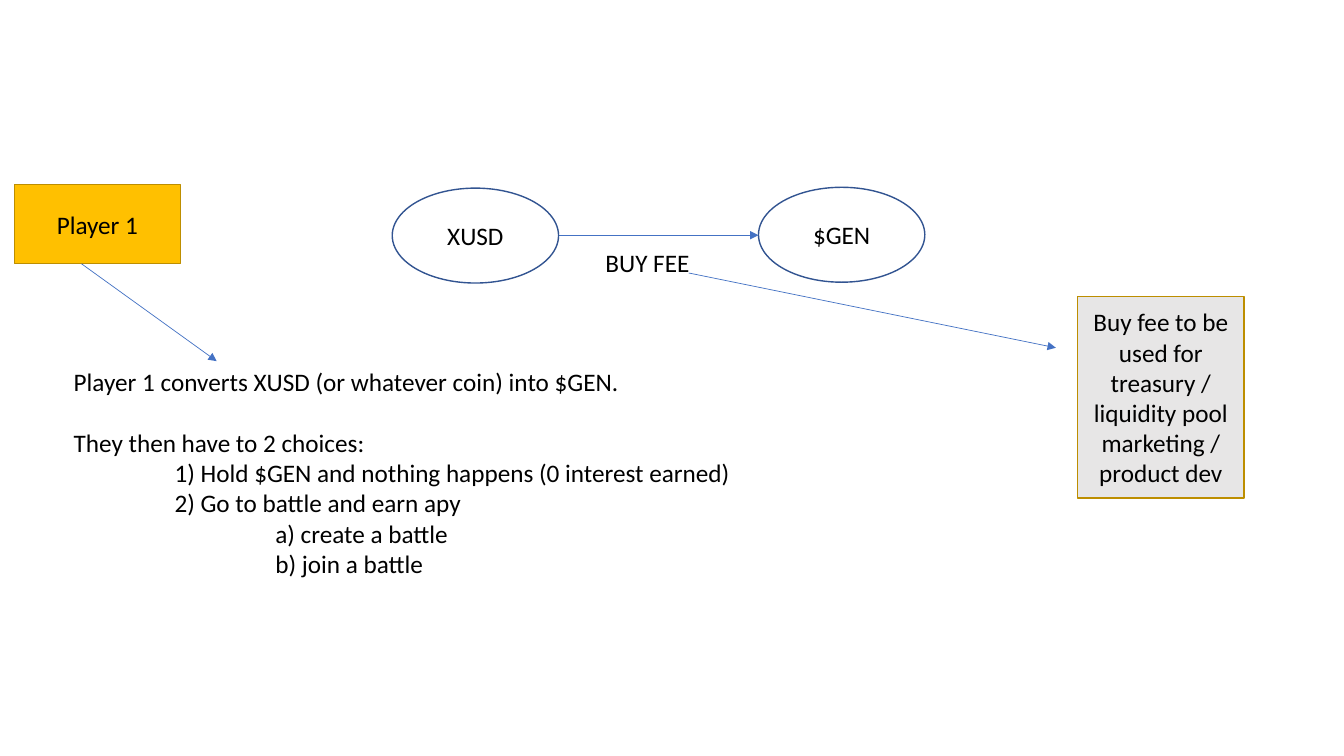
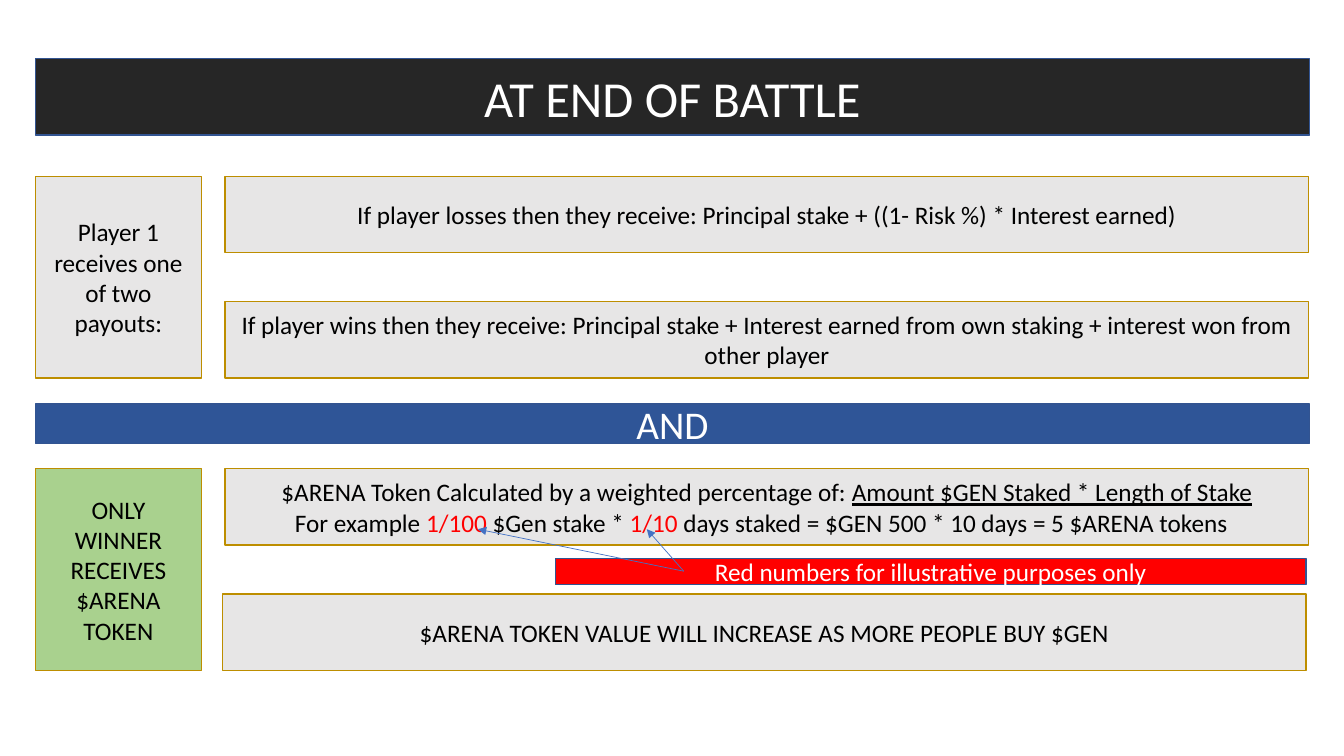
from lxml.etree import SubElement
from pptx import Presentation
from pptx.dml.color import RGBColor
from pptx.enum.shapes import MSO_CONNECTOR as CONN, MSO_SHAPE as SHAPE
from pptx.enum.text import MSO_ANCHOR as ANCHOR, PP_ALIGN as ALIGN
from pptx.oxml.ns import qn
from pptx.util import Inches, Pt

FONT = "Calibri"
COLS, ROWS = 160, 90  # square cells, twelve to the inch
COLORS = {
    "black": "000000", "white": "FFFFFF", "grey": "E7E6E6", "dark": "262626",
    "gold": "FFC000", "gold_line": "BD8E00", "green": "A9D18E", "red": "FF0000",
    "blue": "2F5597", "blue_line": "325491", "arrow": "4472C4",
}


def rgb(name):
    return RGBColor.from_string(COLORS[name])


class Deck:
    """Holds the shared style and the current slide."""

    def __init__(self):
        self.prs = Presentation()
        self.prs.slide_width, self.prs.slide_height = Inches(13.33), Inches(7.5)
        self.slide = None

    def new_slide(self):
        self.slide = self.prs.slides.add_slide(self.prs.slide_layouts[6])

    def grid(self, *cells):
        """Turn alternating column and row counts into lengths."""
        units = (self.prs.slide_width / COLS, self.prs.slide_height / ROWS)
        return [round(n * units[i % 2]) for i, n in enumerate(cells)]

    def set_text(self, sp, paragraphs, color="black", size=18, align=ALIGN.CENTER):
        """Fill a shape; a paragraph is a string or a list of (text, style)."""
        tf = sp.text_frame
        tf.word_wrap = True
        for i, content in enumerate(paragraphs):
            p = tf.paragraphs[0] if i == 0 else tf.add_paragraph()
            p.alignment = align
            pieces = [(content, None)] if isinstance(content, str) else content
            for text, style in pieces:
                r = p.add_run()
                r.text = text
                r.font.name, r.font.size = FONT, Pt(size)
                r.font.color.rgb = rgb("red" if style == "red" else color)
                if style == "underline":
                    r.font.underline = True
        return tf

    def box(self, at, *paragraphs, fill="grey", line="gold_line",
            kind=SHAPE.RECTANGLE, **style):
        sp = self.slide.shapes.add_shape(kind, *self.grid(*at))
        sp.shadow.inherit = False
        sp.fill.solid()
        sp.fill.fore_color.rgb = rgb(fill)
        sp.line.color.rgb = rgb(line)
        sp.line.width = Pt(1)
        tf = self.set_text(sp, paragraphs, **style)
        tf.vertical_anchor = ANCHOR.MIDDLE
        return tf

    def coin(self, at, name):
        self.box(at, name, fill="white", line="blue_line", kind=SHAPE.OVAL)

    def band(self, at, text, fill, size=18):
        self.box(at, text, fill=fill, line="blue_line", color="white", size=size)

    def text(self, at, *paragraphs):
        sp = self.slide.shapes.add_textbox(*self.grid(*at))
        return self.set_text(sp, paragraphs, align=ALIGN.LEFT)

    def arrow(self, *ends):
        cxn = self.slide.shapes.add_connector(CONN.STRAIGHT, *self.grid(*ends))
        cxn.line.color.rgb = rgb("arrow")
        cxn.line.width = Pt(0.5)
        spPr = cxn.element.spPr
        SubElement(spPr.find(qn("a:ln")), qn("a:tailEnd"), type="triangle")
        SubElement(spPr, qn("a:effectLst"))


def indent(p, left=0, right=0):
    pPr = p._p.get_or_add_pPr()
    pPr.set("marL", str(Inches(left)))
    pPr.set("marR", str(Inches(right)))


# Shared box sizes, in grid cells
SIDE_W, SIDE_H, BAR_H = 19.8, 24, 9.1
COIN = (SIDE_W, 11.3)


def buying_slide(deck):
    deck.new_slide()

    # Conversion from coin to token
    deck.arrow(66.4, 28, 90.3, 28)
    deck.coin((46.7, 22.4, *COIN), "XUSD")
    deck.text((70.9, 28.8, 14.8, 4.8), "BUY FEE")
    deck.coin((90.3, 22.3, *COIN), "$GEN")

    # Choices: each entry has its indent in inches
    steps = [
        (0, "Player 1 converts XUSD (or whatever coin) into $GEN."),
        (0, "They then have to 2 choices:"),
        (1, "1) Hold $GEN and nothing happens (0 interest earned)"),
        (1, "2) Go to battle and earn apy"),
        (2, "a) create a battle"),
        (2, "b) join a battle"),
    ]
    tf = deck.text((7.6, 43, 85.9, 26.6), *(text for _, text in steps))
    for p, (left, _) in zip(tf.paragraphs, steps):
        indent(p, left)
    tf.paragraphs[1].space_before = Pt(22)

    # Player and use of the fee
    deck.box((1.7, 22, SIDE_W, 9.4), "Player 1", fill="gold")
    deck.arrow(9.7, 31.4, 25.8, 43)
    deck.box((128.3, 35.3, SIDE_W, SIDE_H),
             "Buy fee to be used for treasury / liquidity pool marketing / product dev")
    deck.arrow(82, 32.5, 125.7, 41.4)


def payout_slide(deck):
    deck.new_slide()
    left, width = 4.2, 151.7
    bar_x, bar_w = 26.8, 129
    payout_y, token_y = 21, 55.8
    low = SIDE_H - BAR_H  # offset of the lower bar beside a side box

    # Title band and payouts
    deck.band((left, 7, width, BAR_H), "AT END OF BATTLE", "dark", size=36)
    deck.box((left, payout_y, SIDE_W, SIDE_H), "Player 1 receives one of two payouts:")
    payouts = [
        "If player losses then they receive: Principal stake + "
        "((1- Risk %) * Interest earned)",
        "If player wins then they receive: Principal stake + Interest earned "
        "from own staking + interest won from other player",
    ]
    for i, text in enumerate(payouts):
        deck.box((bar_x, payout_y + i * low, bar_w, BAR_H), text)

    # Token reward
    deck.box((left, token_y, SIDE_W, SIDE_H),
             "ONLY WINNER RECEIVES $ARENA", "TOKEN", fill="green")
    tf = deck.box(
        (bar_x, token_y, bar_w, BAR_H),
        [("$ARENA Token Calculated by a weighted percentage of: ", None),
         ("Amount $GEN Staked * Length of Stake", "underline")],
        [("For example ", None), ("1/100", "red"), (" $Gen stake * ", None),
         ("1/10", "red"),
         (" days staked = $GEN 500 * 10 days = 5 $ARENA tokens", None)])
    indent(tf.paragraphs[1], right=0.11)
    deck.box((bar_x - 0.3, token_y + low, bar_w, BAR_H),
             "$ARENA TOKEN VALUE WILL INCREASE AS MORE PEOPLE BUY $GEN")

    # Divider, and the note on the red numbers
    deck.band((left, 48.1, width, 4.7), "AND", "blue", size=28)
    deck.band((66.1, 66.5, 89.4, 3.1), "Red numbers for illustrative purposes only",
              "red")
    for number_x in (56.9, 77):
        deck.arrow(81.4, 68, number_x, 63)


def main():
    deck = Deck()
    buying_slide(deck)
    payout_slide(deck)
    deck.prs.save("out.pptx")


if __name__ == "__main__":
    main()
